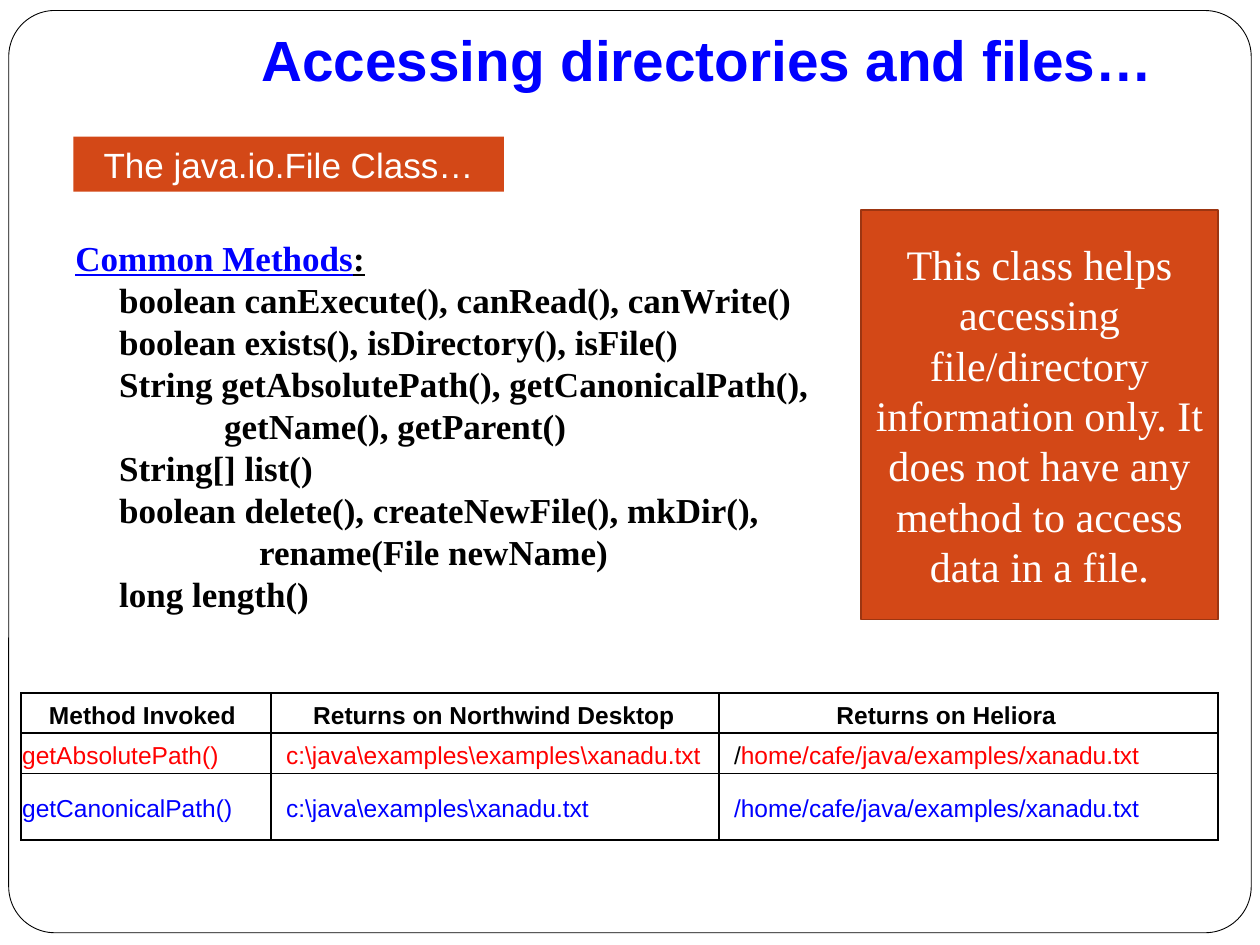
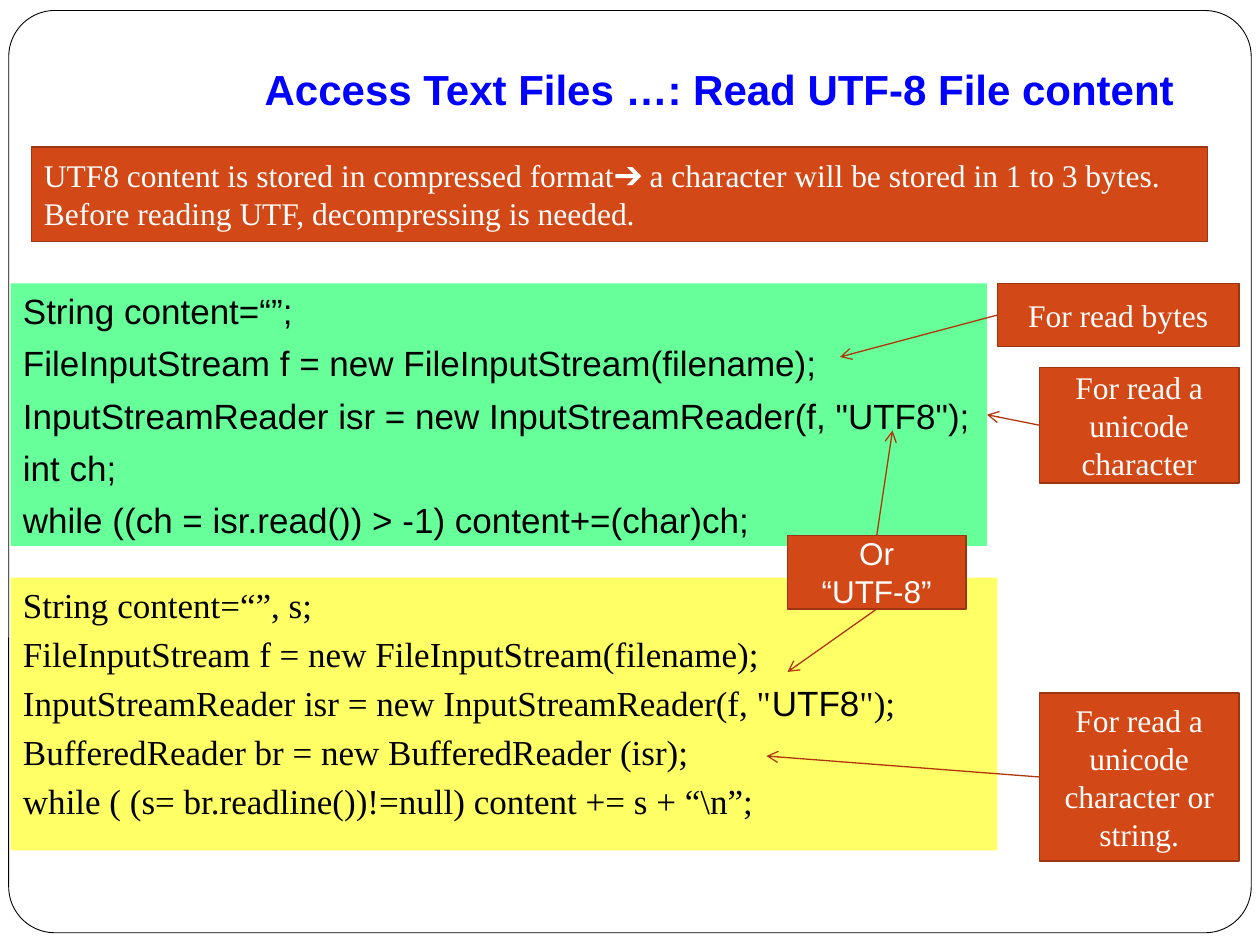
from lxml.etree import SubElement
from pptx import Presentation
from pptx.dml.color import RGBColor
from pptx.enum.shapes import MSO_CONNECTOR as Connector, MSO_SHAPE as Shape
from pptx.enum.text import MSO_ANCHOR as Anchor, PP_ALIGN as Align
from pptx.oxml.ns import qn
from pptx.util import Pt

COLORS = {
    "black": "000000", "white": "FFFFFF", "blue": "0000FF", "red": "FF0000",
    "orange": "D34817", "edge": "9C3511", "arrow": "B1360B",
    "green": "66FF99", "yellow": "FFFF66",
}
SANS, SERIF = "Arial", "Times New Roman"

# Each method line with its left indent
METHODS = [
    ("boolean canExecute(), canRead(), canWrite()", 25),
    ("boolean exists(), isDirectory(), isFile()", 25),
    ("String getAbsolutePath(), getCanonicalPath(),", 25),
    ("getName(), getParent()", 85),
    ("String[] list()", 25),
    ("boolean delete(), createNewFile(), mkDir(),", 25),
    ("rename(File newName)", 105),
    ("long length()", 25),
]
READ_CHARACTERS = [
    "String content=“”;",
    "FileInputStream f = new FileInputStream(filename);",
    'InputStreamReader isr = new InputStreamReader(f, "UTF8");',
    "int ch;",
    "while ((ch = isr.read()) > -1) content+=(char)ch;",
]
READ_LINES = [
    "String content=“”, s;",
    "FileInputStream f = new FileInputStream(filename);",
    [('InputStreamReader isr = new InputStreamReader(f, "', {}),
     ("UTF8", {"name": SANS}), ('");', {})],
    "BufferedReader br = new BufferedReader (isr);",
    "while ( (s= br.readline())!=null) content += s + “\\n”;",
]
# Rows of (content, colour, left indent)
PATH_ROWS = [
    [("Method Invoked", "black", 16),
     ("Returns on Northwind Desktop", "black", 24),
     ("Returns on Heliora", "black", 67)],
    [("getAbsolutePath()", "red", 0.7),
     ("c:\\java\\examples\\examples\\xanadu.txt", "red", 8.5),
     ([("/", {"color": "black"}), ("home/cafe/java/examples/xanadu.txt", {})], "red", 8.5)],
    [("getCanonicalPath()", "blue", 0.7),
     ("c:\\java\\examples\\xanadu.txt", "blue", 8.5),
     ("/home/cafe/java/examples/xanadu.txt", "blue", 8.5)],
]


def rgb(color):
    return RGBColor.from_string(COLORS[color])


def points(*lengths):
    return [Pt(length) for length in lengths]


def style_font(font, size=None, name=None, color=None, bold=None, underline=None):
    if size:
        font.size = Pt(size)
    if name:
        font.name = name
    if color:
        font.color.rgb = rgb(color)
    if bold is not None:
        font.bold = bold
    if underline:
        font.underline = True


def write(frame, lines, align=Align.LEFT, before=0, **font):
    """Fill a text frame; a line is a string or a list of (text, font changes)."""
    for number, line in enumerate(lines):
        para = frame.paragraphs[0] if number == 0 else frame.add_paragraph()
        para.alignment = align
        para.space_before = Pt(before)
        style_font(para.font, **font)
        spans = [(line, {})] if isinstance(line, str) else line
        for text, changes in spans:
            span = para.add_run()
            span.text = text
            style_font(span.font, **changes)


def add_text(page, place, lines, anchor=Anchor.MIDDLE, **style):
    box = page.shapes.add_textbox(*points(*place))
    box.text_frame.word_wrap = True
    box.text_frame.vertical_anchor = anchor
    write(box.text_frame, lines, **style)
    return box


def add_panel(page, place, fill, edge=None, edge_width=1, kind=Shape.RECTANGLE):
    panel = page.shapes.add_shape(kind, *points(*place))
    panel.shadow.inherit = False
    panel.fill.solid()
    panel.fill.fore_color.rgb = rgb(fill)
    if edge:
        panel.line.color.rgb = rgb(edge)
        panel.line.width = Pt(edge_width)
    else:
        panel.line.fill.background()
    return panel


def add_note(page, place, lines, size=18, name=SERIF, align=Align.CENTER, edge="edge"):
    note = add_panel(page, place, "orange", edge)
    note.text_frame.word_wrap = True
    note.text_frame.vertical_anchor = Anchor.MIDDLE
    write(note.text_frame, lines, align, size=size, name=name, color="white")


def add_code(page, place, fill, lines, name, before):
    code = add_panel(page, place, fill)
    code.text_frame.word_wrap = True
    code.text_frame.vertical_anchor = Anchor.TOP
    write(code.text_frame, lines, before=before, size=20, name=name, color="black")


def add_arrow(page, start, end):
    arrow = page.shapes.add_connector(Connector.STRAIGHT, *points(*start, *end))
    arrow.line.color.rgb = rgb("arrow")
    arrow.line.width = Pt(0.75)
    properties = arrow.element.spPr
    SubElement(properties.find(qn("a:ln")), qn("a:tailEnd"), type="arrow")
    SubElement(properties, qn("a:effectLst"))


def add_borders(cell):
    properties = cell._tc.get_or_add_tcPr()
    for side in ("lnL", "lnR", "lnT", "lnB"):
        line = SubElement(properties, qn(f"a:{side}"), w=str(Pt(1)))
        fill = SubElement(line, qn("a:solidFill"))
        SubElement(fill, qn("a:srgbClr"), val=COLORS["black"])


def add_path_table(page, place, widths, heights):
    table = page.shapes.add_table(len(heights), len(widths), *points(*place)).table
    table.first_row = table.horz_banding = False
    for column, width in zip(table.columns, widths):
        column.width = Pt(width)
    for row, height in zip(table.rows, heights):
        row.height = Pt(height)
    for row_number, row in enumerate(PATH_ROWS):
        for column_number, (content, color, indent) in enumerate(row):
            cell = table.cell(row_number, column_number)
            add_borders(cell)
            cell.fill.background()
            cell.vertical_anchor = Anchor.MIDDLE
            cell.margin_left = Pt(indent)
            cell.margin_right = cell.margin_top = Pt(0.7)
            cell.margin_bottom = 0
            write(cell.text_frame, [content], size=14, name=SANS, color=color,
                  bold=row_number == 0)
            cell.text_frame.paragraphs[0].line_spacing = 1.15


def add_page(deck, title, place, size):
    """Start a slide with the rounded frame and the blue title."""
    page = deck.slides.add_slide(deck.slide_layouts[6])
    frame = add_panel(page, (5, 6, 710, 527), "white", "black", 0.5, Shape.ROUNDED_RECTANGLE)
    frame.adjustments[0] = 0.05
    heading = add_text(page, place, [title], Anchor.BOTTOM, align=Align.RIGHT,
                       size=size, name=SANS, color="blue", bold=True)
    heading.text_frame.margin_bottom = Pt(7.2)
    return page


def add_directories_page(deck):
    page = add_page(deck, "Accessing directories and files…", (114, 12, 552, 48), 32.4)
    heading = [("Common Methods", {"color": "blue", "underline": True}),
               (":", {"underline": True})]
    methods = add_text(page, (36, 132, 444, 222), [heading] + [text for text, _ in METHODS],
                       size=20, name=SERIF, color="black", bold=True)
    for para, (_, indent) in zip(methods.text_frame.paragraphs[1:], METHODS):
        para._p.get_or_add_pPr().set("marL", str(Pt(indent)))
    add_path_table(page, (12, 396, 684, 84), (143, 256, 285), (23, 23, 38))
    add_note(page, (492, 120, 204, 234),
             ["This class helps accessing file/directory information only. "
              "It does not have any method to access data in a file."], 24)
    add_note(page, (42, 78, 246, 31.5), ["The java.io.File Class…"], 20, SANS, edge=None)


def add_reading_page(deck):
    page = add_page(deck, "Access Text Files …: Read UTF-8 File content", (72, 18, 606, 54), 24)
    add_code(page, (6, 162, 558, 150), "green", READ_CHARACTERS, SANS, 5.8)
    add_code(page, (6, 330, 564, 156), "yellow", READ_LINES, SERIF, 4)
    add_note(page, (450, 306, 102, 42), ["Or", "“UTF-8”"], name=SANS)
    add_note(page, (18, 84, 672, 54),
             ["UTF8 content is stored in compressed format➔ a character will be "
              "stored in 1 to 3 bytes.",
              "Before reading UTF, decompressing is needed."], align=Align.LEFT)
    add_note(page, (570, 162, 138, 36), ["For read bytes"])
    add_note(page, (594, 210, 114, 66), ["For read a unicode character"])
    add_note(page, (594, 396, 114, 96), ["For read a unicode character or string."])
    for start, end in [
        ((501, 306), (510, 246)),
        ((501, 348), (450, 384)),
        ((570, 180), (480, 204)),
        ((594, 243), (564, 237)),
        ((594, 444), (438, 432)),
    ]:
        add_arrow(page, start, end)


def main():
    deck = Presentation()
    deck.slide_width, deck.slide_height = points(720, 540)
    add_directories_page(deck)
    add_reading_page(deck)
    deck.save("out.pptx")


if __name__ == "__main__":
    main()
